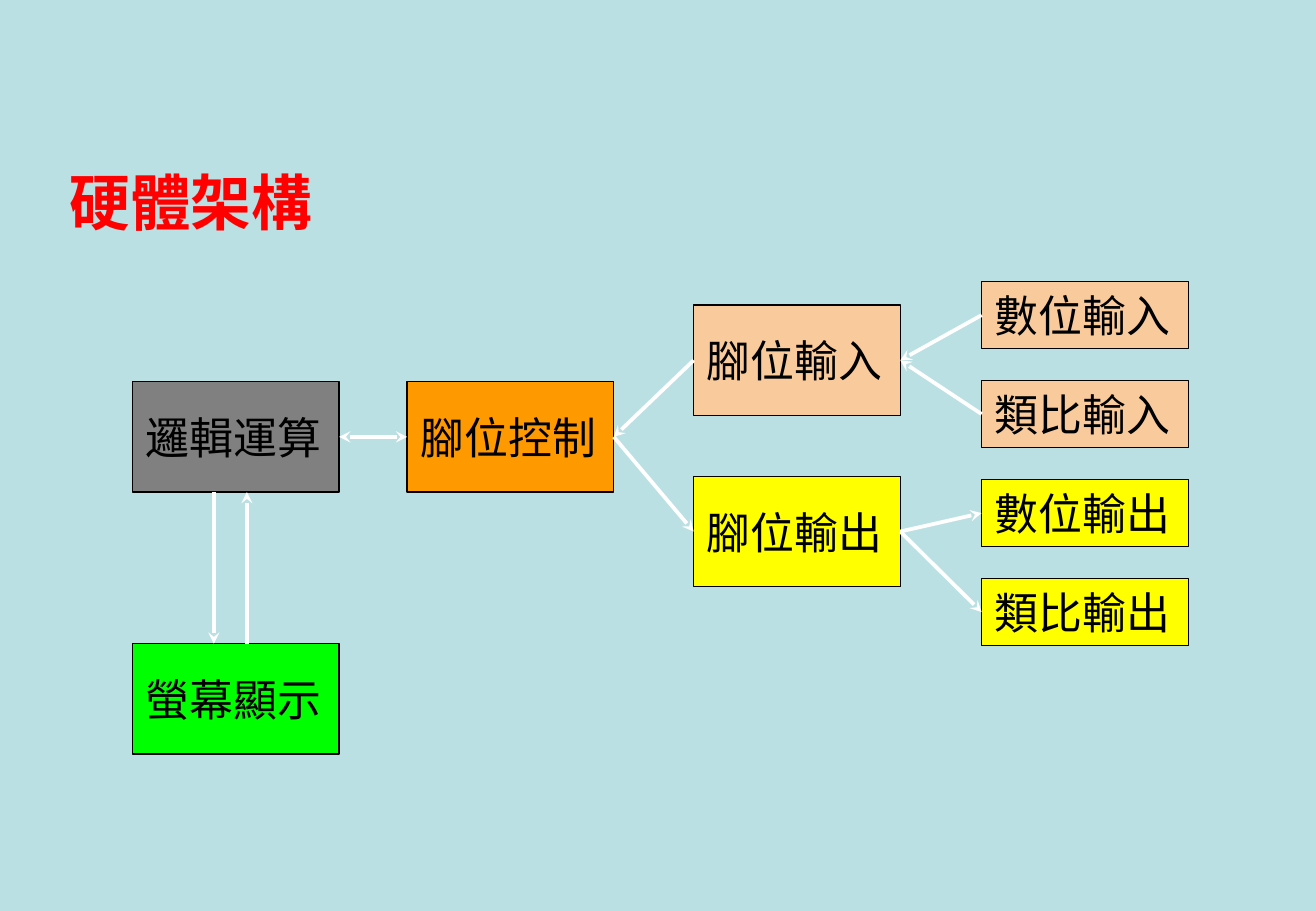
from dataclasses import dataclass

import lxml.etree
import pptx
import pptx.dml.color
import pptx.enum.shapes
import pptx.enum.text
import pptx.oxml.ns
import pptx.util
from pptx.util import Cm


@dataclass(frozen=True)
class Theme:
    background: str = "BBE0E3"
    title: str = "FF0000"
    text: str = "000000"
    border: str = "000000"
    arrow: str = "FFFFFF"
    logic: str = "808080"
    control: str = "FF9900"
    input: str = "F9CB9C"
    output: str = "FFFF00"
    screen: str = "00FF00"
    font: str = "Arial"
    title_size: int = 36
    block_size: int = 26
    border_width: float = 0.75
    arrow_width: float = 2.25


THEME = Theme()
LEFT, RIGHT = 1, 3
BLOCK_WIDTH, BLOCK_HEIGHT, SIGNAL_HEIGHT = 4.32, 2.31, 1.4
SIGNAL_PITCH = 2.07
INSET = 0.28


def rgb(color):
    return pptx.dml.color.RGBColor.from_string(color)


def write_text(shape, text, size, color, anchor, bold=False):
    frame = shape.text_frame
    frame.word_wrap = True
    frame.vertical_anchor = anchor
    frame.margin_left = frame.margin_right = Cm(INSET)
    frame.margin_top = frame.margin_bottom = Cm(INSET)
    paragraph = frame.paragraphs[0]
    paragraph.text = text
    paragraph.alignment = pptx.enum.text.PP_ALIGN.LEFT
    paragraph.font.name = THEME.font
    paragraph.font.size = pptx.util.Pt(size)
    paragraph.font.bold = bold
    paragraph.font.color.rgb = rgb(color)


def add_block(slide, text, color, left, top, height=BLOCK_HEIGHT):
    block = slide.shapes.add_shape(
        pptx.enum.shapes.MSO_SHAPE.RECTANGLE,
        Cm(left), Cm(top), Cm(BLOCK_WIDTH), Cm(height))
    block.shadow.inherit = False
    block.fill.solid()
    block.fill.fore_color.rgb = rgb(color)
    block.line.color.rgb = rgb(THEME.border)
    block.line.width = pptx.util.Pt(THEME.border_width)
    write_text(block, text, THEME.block_size, THEME.text,
               pptx.enum.text.MSO_ANCHOR.MIDDLE)
    return block


def add_arrow(slide, start=(0, 0), end=(0, 0), two_way=False):
    arrow = slide.shapes.add_connector(
        pptx.enum.shapes.MSO_CONNECTOR.STRAIGHT, *start, *end)
    arrow.line.color.rgb = rgb(THEME.arrow)
    arrow.line.width = pptx.util.Pt(THEME.arrow_width)
    properties = arrow._element.spPr
    line = properties.find(pptx.oxml.ns.qn("a:ln"))
    for tag in ("a:headEnd", "a:tailEnd") if two_way else ("a:tailEnd",):
        lxml.etree.SubElement(line, pptx.oxml.ns.qn(tag), type="stealth")
    lxml.etree.SubElement(properties, pptx.oxml.ns.qn("a:effectLst"))
    return arrow


def join(slide, source, source_side, target, target_side, two_way=False):
    arrow = add_arrow(slide, two_way=two_way)
    arrow.begin_connect(source, source_side)
    arrow.end_connect(target, target_side)


def add_title(slide, left, top, width, height):
    title = slide.shapes.add_textbox(Cm(left), Cm(top), Cm(width), Cm(height))
    write_text(title, "硬體架構", THEME.title_size, THEME.title,
               pptx.enum.text.MSO_ANCHOR.BOTTOM, bold=True)


def add_architecture(slide, left, top, width, height):
    pins_left = left + 11.73
    signals_left = left + width - BLOCK_WIDTH
    core_top = top + 2.09
    logic = add_block(slide, "邏輯運算", THEME.logic, left, core_top)
    control = add_block(slide, "腳位控制", THEME.control, left + 5.74, core_top)
    pin_input = add_block(slide, "腳位輸入", THEME.input, pins_left, top + 0.49)
    pin_output = add_block(slide, "腳位輸出", THEME.output, pins_left, top + 4.07)
    screen = add_block(slide, "螢幕顯示", THEME.screen, left,
                       top + height - BLOCK_HEIGHT)

    signals = (("數位輸入", THEME.input), ("類比輸入", THEME.input),
               ("數位輸出", THEME.output), ("類比輸出", THEME.output))
    digital_in, analog_in, digital_out, analog_out = [
        add_block(slide, text, color, signals_left,
                  top + row * SIGNAL_PITCH, SIGNAL_HEIGHT)
        for row, (text, color) in enumerate(signals)]

    join(slide, logic, RIGHT, control, LEFT, two_way=True)
    for source, target in ((control, pin_output), (pin_output, digital_out),
                           (pin_output, analog_out)):
        join(slide, source, RIGHT, target, LEFT)
    for source, target in ((pin_input, control), (digital_in, pin_input),
                           (analog_in, pin_input)):
        join(slide, source, LEFT, target, RIGHT)

    logic_bottom = logic.top + logic.height
    to_screen, to_logic = Cm(left + 1.7), Cm(left + 2.39)
    add_arrow(slide, (to_screen, logic_bottom), (to_screen, screen.top))
    add_arrow(slide, (to_logic, screen.top), (to_logic, logic_bottom))


def main():
    presentation = pptx.Presentation()
    presentation.slide_width = Cm(27.51)
    presentation.slide_height = Cm(19.05)
    slide = presentation.slides.add_slide(presentation.slide_layouts[6])
    slide.background.fill.solid()
    slide.background.fill.fore_color.rgb = rgb(THEME.background)
    add_title(slide, 1.17, 3.18, 25.17, 2.06)
    add_architecture(slide, 2.77, 5.89, 22.07, 9.88)
    presentation.save("out.pptx")


if __name__ == "__main__":
    main()
